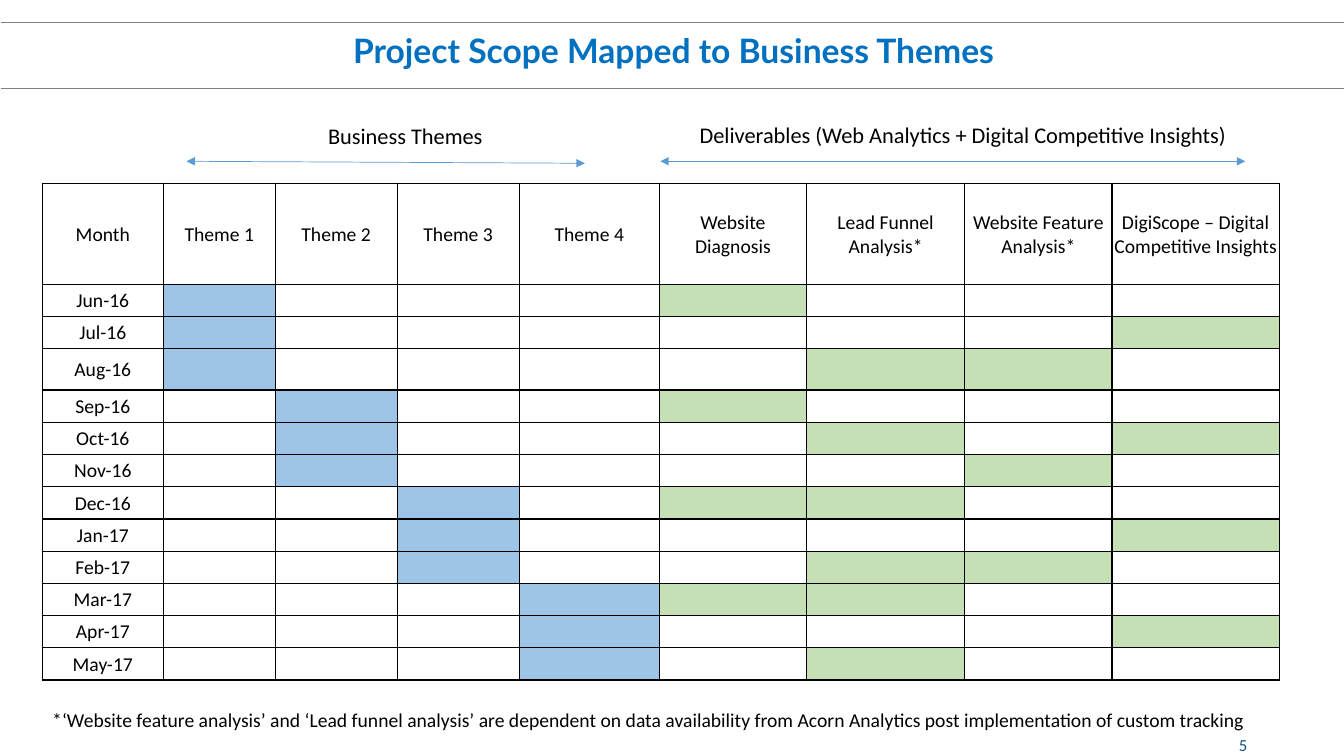
"""Build the slide that maps the project scope to business themes by month."""
from dataclasses import dataclass

from lxml.etree import SubElement
from pptx import Presentation
from pptx.dml.color import RGBColor
from pptx.enum.shapes import MSO_CONNECTOR as Connector
from pptx.enum.text import MSO_ANCHOR as Anchor, MSO_AUTO_SIZE as AutoSize, PP_ALIGN as Align
from pptx.oxml import parse_xml
from pptx.oxml.ns import nsdecls, qn
from pptx.slide import Slide
from pptx.table import _Cell as Cell
from pptx.util import Emu, Pt

BLACK = RGBColor(0x00, 0x00, 0x00)
TITLE_BLUE = RGBColor(0x00, 0x70, 0xC0)
NUMBER_BLUE = RGBColor(0x0E, 0x55, 0x80)
ARROW_BLUE = RGBColor(0x5B, 0x9B, 0xD5)
RULE_GREY = RGBColor(0x80, 0x80, 0x80)
THEME_BLUE = RGBColor(0x9D, 0xC3, 0xE6)
DELIVERABLE_GREEN = RGBColor(0xC5, 0xE0, 0xB4)

HEADERS = ["Month", "Theme 1", "Theme 2", "Theme 3", "Theme 4", "Website Diagnosis",
           "Lead Funnel Analysis*", "Website Feature Analysis*",
           "DigiScope – Digital Competitive Insights"]
MONTHS = ["Jun-16", "Jul-16", "Aug-16", "Sep-16", "Oct-16", "Nov-16",
          "Dec-16", "Jan-17", "Feb-17", "Mar-17", "Apr-17", "May-17"]
COLUMN_WIDTHS = [120, 111, 121, 121, 139, 146, 157, 146, 166]
HEADER_HEIGHT, ROW_HEIGHT, TALL_ROW_HEIGHT = 100, 32, 41
TALL_MONTH = "Aug-16"
MONTHS_PER_THEME = 3
DELIVERABLE_MONTHS = {
    5: ["Jun-16", "Sep-16", "Dec-16", "Mar-17"],
    6: ["Aug-16", "Oct-16", "Dec-16", "Feb-17", "Mar-17", "May-17"],
    7: ["Aug-16", "Nov-16", "Feb-17"],
    8: ["Jul-16", "Oct-16", "Jan-17", "Apr-17"],
}


@dataclass(frozen=True)
class Label:
    """A text box with one line of text."""
    text: str
    left: int
    top: int
    width: int
    height: int
    size: int
    color: RGBColor = BLACK
    font: str = "Calibri"
    bold: bool = False
    align: Align = Align.CENTER
    anchor: Anchor = Anchor.TOP
    wrap: bool = True


@dataclass(frozen=True)
class Line:
    """A thin straight line, with arrowheads at both ends if wanted."""
    start: tuple[int, int]
    end: tuple[int, int]
    color: RGBColor
    arrows: bool = False


LABELS = [
    Label("5", 947, 719, 300, 40, 12, NUMBER_BLUE, align=Align.RIGHT, anchor=Anchor.MIDDLE),
    Label("Project Scope Mapped to Business Themes", 321, 25, 694, 50, 24, TITLE_BLUE,
          "Lato", bold=True, wrap=False),
    Label("Business Themes", 293, 116, 218, 37, 16),
    Label("Deliverables (Web Analytics + Digital Competitive Insights)", 676, 115, 558, 37, 16),
    Label("*‘Website feature analysis’ and ‘Lead funnel analysis’ are dependent on data "
          "availability from Acorn Analytics post implementation of custom tracking",
          42, 697, 1216, 34, 14, align=Align.LEFT),
]
LINES = [
    Line((1, 88), (1333, 88), RULE_GREY),
    Line((1, 22), (1333, 22), RULE_GREY),
    Line((185, 160), (580, 162), ARROW_BLUE, arrows=True),
    Line((655, 160), (1235, 160), ARROW_BLUE, arrows=True),
]


def px(value: int) -> Emu:
    """Turn px, at 100 to the inch, into EMU."""
    return Emu(value * 9144)


def add_label(slide: Slide, label: Label) -> None:
    """Draw a text box."""
    shape = slide.shapes.add_textbox(px(label.left), px(label.top),
                                     px(label.width), px(label.height))
    frame = shape.text_frame
    frame.word_wrap = label.wrap
    frame.auto_size = AutoSize.NONE
    frame.vertical_anchor = label.anchor
    frame.text = label.text
    paragraph = frame.paragraphs[0]
    paragraph.alignment = label.align
    font = paragraph.runs[0].font
    font.name, font.size, font.bold = label.font, Pt(label.size), label.bold
    font.color.rgb = label.color


def add_line(slide: Slide, line: Line) -> None:
    """Draw a straight line without a shadow."""
    connector = slide.shapes.add_connector(Connector.STRAIGHT, *map(px, line.start + line.end))
    connector.line.color.rgb = line.color
    connector.line.width = Pt(0.5)
    if line.arrows:
        outline = connector.line._get_or_add_ln()
        for end in ("a:headEnd", "a:tailEnd"):
            SubElement(outline, qn(end), type="triangle")
    SubElement(connector._element.spPr, qn("a:effectLst"))


def format_cell(cell: Cell, text: str, fill: RGBColor | None) -> None:
    """Give a cell its borders, fill, margins and text."""
    properties = cell._tc.get_or_add_tcPr()
    for side in "LRTB":
        properties.append(parse_xml(
            f'<a:ln{side} {nsdecls("a")} w="{Pt(1)}"><a:solidFill>'
            f'<a:srgbClr val="{BLACK}"/></a:solidFill></a:ln{side}>'))
    if fill is None:
        cell.fill.background()
    else:
        cell.fill.solid()
        cell.fill.fore_color.rgb = fill
    cell.margin_left = cell.margin_right = cell.margin_top = px(1)
    cell.margin_bottom = 0
    cell.vertical_anchor = Anchor.MIDDLE
    cell.text_frame.text = text
    paragraph = cell.text_frame.paragraphs[0]
    paragraph.alignment = Align.CENTER
    for run in paragraph.runs:
        run.font.name, run.font.size = "Calibri", Pt(14)
        run.font.color.rgb = BLACK


def month_fill(month: str, column: int) -> RGBColor | None:
    """Return the colour that marks a month in a column, if any."""
    if column == 1 + MONTHS.index(month) // MONTHS_PER_THEME:
        return THEME_BLUE
    return DELIVERABLE_GREEN if month in DELIVERABLE_MONTHS.get(column, []) else None


def add_schedule(slide: Slide) -> None:
    """Draw the table of months, themes and deliverables."""
    heights = [HEADER_HEIGHT] + [TALL_ROW_HEIGHT if month == TALL_MONTH else ROW_HEIGHT
                                 for month in MONTHS]
    table = slide.shapes.add_table(len(heights), len(HEADERS), px(42), px(182),
                                   px(sum(COLUMN_WIDTHS)), px(sum(heights))).table
    table.first_row = table.horz_banding = False
    for row, height in zip(table.rows, heights):
        row.height = px(height)
    for column, (header, width) in enumerate(zip(HEADERS, COLUMN_WIDTHS)):
        table.columns[column].width = px(width)
        format_cell(table.cell(0, column), header, None)
        for row, month in enumerate(MONTHS, start=1):
            text = month if column == 0 else ""
            format_cell(table.cell(row, column), text, month_fill(month, column))


def main() -> None:
    """Build and save the presentation."""
    presentation = Presentation()
    presentation.slide_width, presentation.slide_height = px(1333), px(750)
    slide = presentation.slides.add_slide(presentation.slide_layouts[6])
    add_schedule(slide)
    for line in LINES:
        add_line(slide, line)
    for label in LABELS:
        add_label(slide, label)
    presentation.save("out.pptx")


if __name__ == "__main__":
    main()
